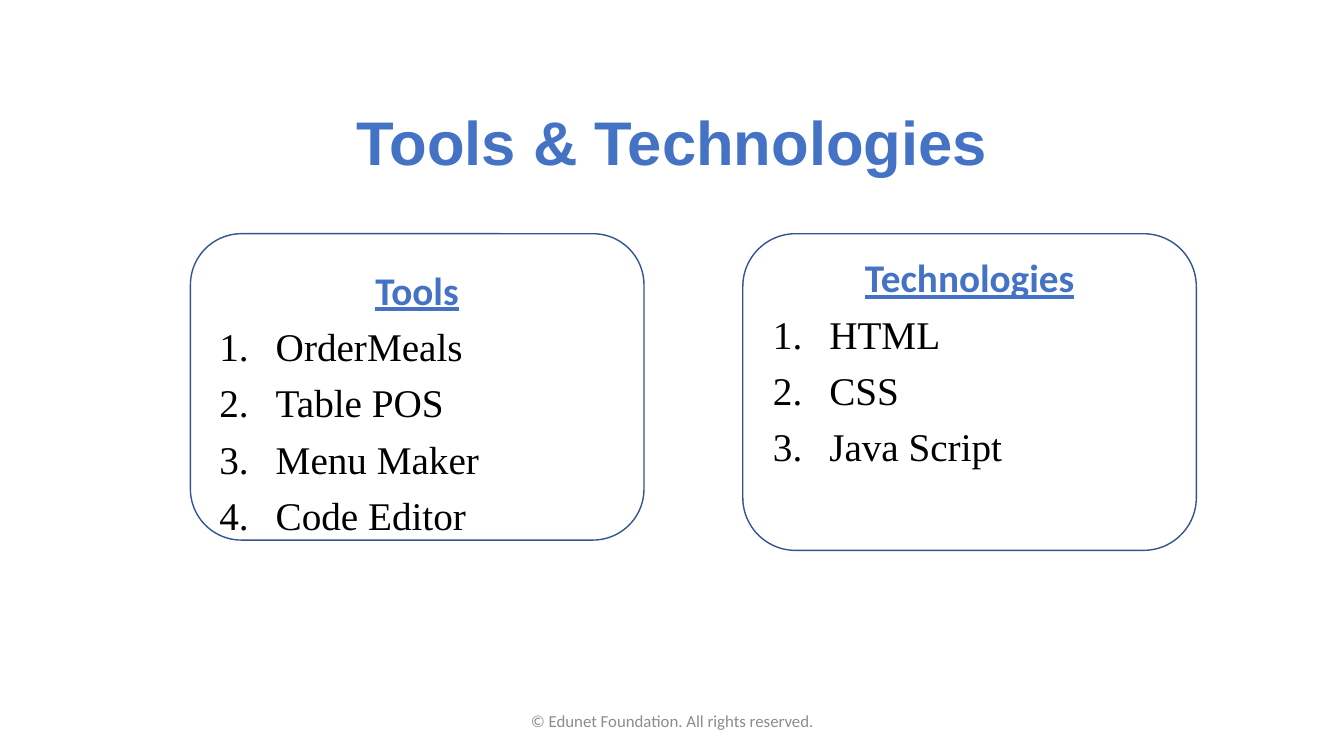
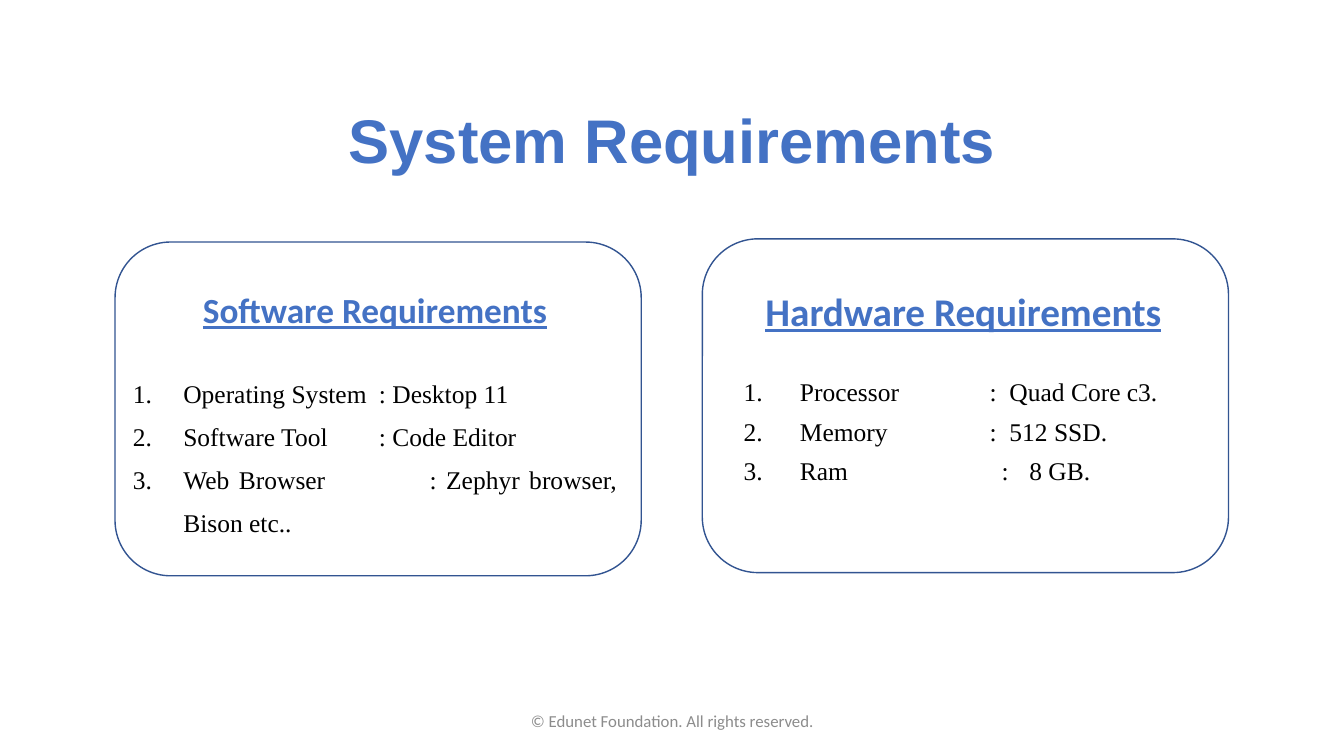
import pptx
import pptx.util
import pptx.dml.color
import pptx.enum.shapes
import pptx.enum.text
import pptx.oxml.ns
import lxml.etree
from dataclasses import dataclass

Cm = pptx.util.Cm
Pt = pptx.util.Pt
Align = pptx.enum.text.PP_ALIGN
Anchor = pptx.enum.text.MSO_ANCHOR


@dataclass(frozen=True)
class Theme:
    accent: str = "4472C4"
    outline: str = "325491"
    ink: str = "000000"
    muted: str = "8C8C8C"
    title_font: str = "Arial"
    heading_font: str = "Calibri"
    body_font: str = "Times New Roman"
    title_size: float = 44
    large_size: float = 28
    medium_size: float = 25.2
    small_size: float = 18.2
    footer_size: float = 12


THEME = Theme()
SLIDE_WIDTH, SLIDE_HEIGHT = 33.87, 19.05
FOOTER = "© Edunet Foundation. All rights reserved."

LARGE_LIST = dict(
    heading_size=THEME.large_size, heading_spacing=0.9, item_size=THEME.large_size,
    item_spacing=0.9, first_gap=10, item_gap=10, indent=1.42,
)
SOFTWARE_LIST = dict(
    heading_size=THEME.medium_size, heading_spacing=0.7, item_size=THEME.small_size,
    item_spacing=1.4, first_gap=26, item_gap=0, indent=1.27,
)
HARDWARE_LIST = dict(
    heading_size=THEME.large_size, heading_spacing=0.7, item_size=THEME.small_size,
    item_spacing=1.3, first_gap=24, item_gap=0, indent=1.42,
)

PAGES = [
    dict(
        title="Tools & Technologies", title_top=2.86,
        cards=[
            dict(heading="Tools", style=LARGE_LIST,
                 frame=(4.8, 5.89, 11.43, 7.72), text=(5.28, 6.71, 10.46, 7.2),
                 items=[("OrderMeals", ()), ("Table POS", ()),
                        ("Menu Maker", ()), ("Code Editor", ())]),
            dict(heading="Technologies", style=LARGE_LIST,
                 frame=(18.72, 5.89, 11.43, 7.98), text=(19.23, 6.4, 10.41, 7.2),
                 items=[("HTML", ()), ("CSS", ()), ("Java Script", ())]),
        ],
    ),
    dict(
        title="System Requirements", title_top=2.81,
        cards=[
            dict(heading="Software Requirements", style=SOFTWARE_LIST,
                 frame=(2.9, 6.1, 13.26, 8.41), text=(3.1, 7.44, 12.7, 6.8),
                 items=[("Operating System\t: Desktop 11", (6.2,)),
                        ("Software Tool\t: Code Editor", (6.2,)),
                        ("Web Browser\t: Zephyr browser, Bison etc..", (7.4,))]),
            dict(heading="Hardware Requirements", style=HARDWARE_LIST,
                 frame=(17.7, 6.02, 13.26, 8.41), text=(18.49, 7.44, 11.58, 6.8),
                 items=[("Processor\t:\tQuad Core c3.", (6.2, 6.7)),
                        ("Memory\t:\t512 SSD.", (6.2, 6.7)),
                        ("Ram\t:\t8 GB.", (6.5, 7.2))]),
        ],
    ),
]


def color(value):
    return pptx.dml.color.RGBColor.from_string(value)


def add_box(page, place, anchor=Anchor.TOP):
    box = page.shapes.add_textbox(*map(Cm, place))
    box.text_frame.word_wrap = True
    box.text_frame.vertical_anchor = anchor
    return box


def write(para, text, font, size, ink, align, spacing=1.0, bold=False, underline=False):
    para.text = text
    para.alignment = align
    para.line_spacing = spacing
    for span in para.runs:
        span.font.name = font
        span.font.size = Pt(size)
        span.font.bold = bold
        span.font.underline = underline
        span.font.color.rgb = color(ink)


def add_number(para, indent, tabs):
    properties = para._p.get_or_add_pPr()
    properties.set("marL", str(Cm(indent)))
    properties.set("indent", str(-Cm(indent)))
    name = pptx.oxml.ns.qn
    lxml.etree.SubElement(properties, name("a:buFont"), typeface=THEME.body_font)
    lxml.etree.SubElement(properties, name("a:buAutoNum"), type="arabicPeriod")
    if tabs:
        stops = lxml.etree.SubElement(properties, name("a:tabLst"))
        for stop in tabs:
            lxml.etree.SubElement(stops, name("a:tab"), pos=str(Cm(stop)), algn="l")


def add_card(page, card):
    style = card["style"]
    frame = add_box(page, card["text"]).text_frame
    write(frame.paragraphs[0], card["heading"], THEME.heading_font, style["heading_size"],
          THEME.accent, Align.CENTER, style["heading_spacing"], True, True)
    for index, (text, tabs) in enumerate(card["items"]):
        para = frame.add_paragraph()
        add_number(para, style["indent"], tabs)
        write(para, text, THEME.body_font, style["item_size"], THEME.ink,
              Align.JUSTIFY, style["item_spacing"])
        para.space_before = Pt(style["item_gap"] if index else style["first_gap"])

    outline = page.shapes.add_shape(
        pptx.enum.shapes.MSO_SHAPE.ROUNDED_RECTANGLE, *map(Cm, card["frame"]))
    outline.shadow.inherit = False
    outline.fill.background()
    outline.line.color.rgb = color(THEME.outline)
    outline.line.width = Pt(1)


def add_page(deck, content):
    page = deck.slides.add_slide(deck.slide_layouts[6])
    title = add_box(page, (2.34, content["title_top"], 29.21, 1.6), Anchor.MIDDLE)
    write(title.text_frame.paragraphs[0], content["title"], THEME.title_font,
          THEME.title_size, THEME.accent, Align.CENTER, 0.9, True)
    for card in content["cards"]:
        add_card(page, card)
    footer = add_box(page, (11.23, 17.65, 11.43, 1.02), Anchor.MIDDLE)
    write(footer.text_frame.paragraphs[0], FOOTER, THEME.heading_font,
          THEME.footer_size, THEME.muted, Align.CENTER)


def main():
    deck = pptx.Presentation()
    deck.slide_width = Cm(SLIDE_WIDTH)
    deck.slide_height = Cm(SLIDE_HEIGHT)
    for content in PAGES:
        add_page(deck, content)
    deck.save("out.pptx")


if __name__ == "__main__":
    main()
